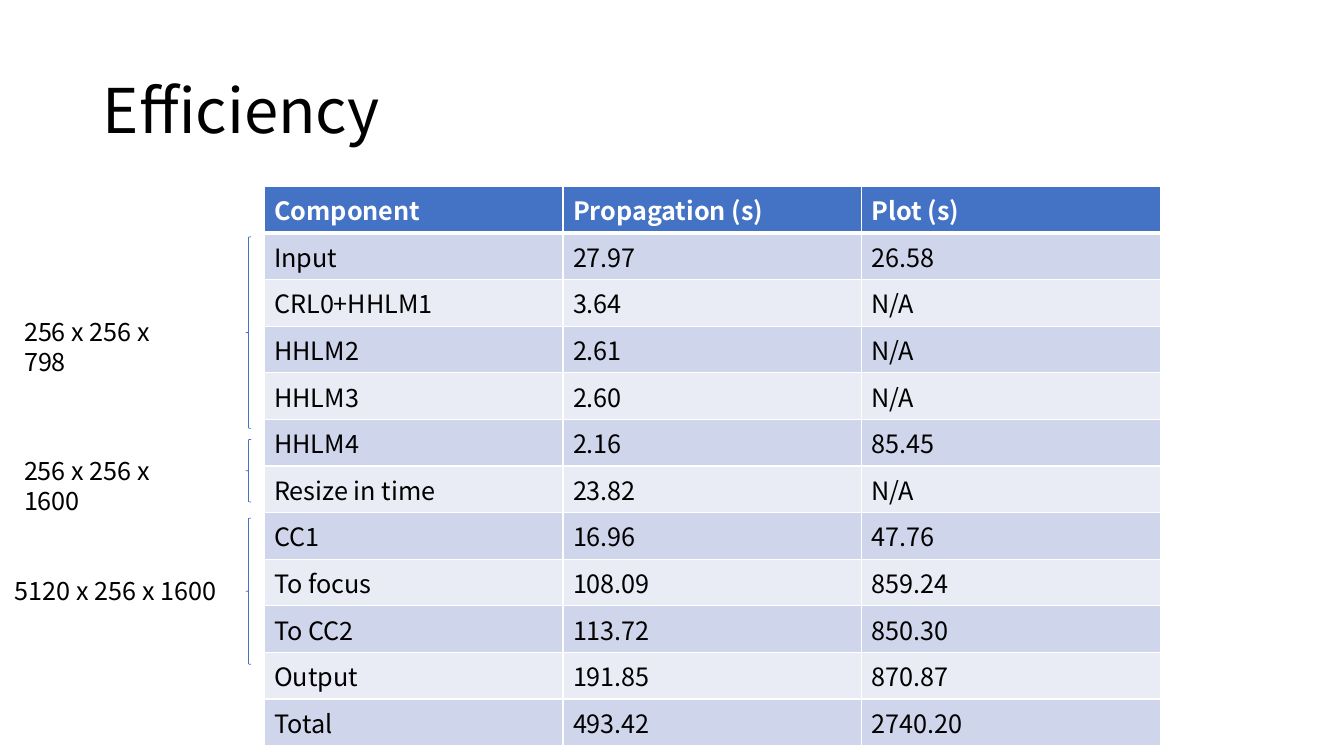
"""Build the Efficiency slide: a timing table with braces naming the grid sizes."""
import pptx
import pptx.dml.color
import pptx.enum.shapes
import pptx.enum.text
import pptx.oxml
import pptx.oxml.ns
import pptx.util
from pptx.util import Inches

FONT = "Noto Sans CJK SC"
BLACK, WHITE, BLUE = "000000", "FFFFFF", "4472C4"
BANDS = ("CFD5EA", "E9EBF5")

TITLE = "Efficiency"
TIMINGS = [
    ("Component", "Propagation (s)", "Plot (s)"),
    ("Input", "27.97", "26.58"),
    ("CRL0+HHLM1", "3.64", "N/A"),
    ("HHLM2", "2.61", "N/A"),
    ("HHLM3", "2.60", "N/A"),
    ("HHLM4", "2.16", "85.45"),
    ("Resize in time", "23.82", "N/A"),
    ("CC1", "16.96", "47.76"),
    ("To focus", "108.09", "859.24"),
    ("To CC2", "113.72", "850.30"),
    ("Output", "191.85", "870.87"),
    ("Total", "493.42", "2740.20"),
]
# brace top, brace height, label, label left, label top, label width
GRID_SIZES = [
    (2.35, 1.9, "256 x 256 x 798", 0.14, 3.09, 1.88),
    (4.36, 0.62, "256 x 256 x 1600", 0.14, 4.47, 2.03),
    (5.14, 1.45, "5120 x 256 x 1600", 0.05, 5.66, 2.23),
]


def color(value):
    return pptx.dml.color.RGBColor.from_string(value)


def format_text(paragraph, size, value=BLACK, bold=False):
    paragraph.font.name = FONT
    paragraph.font.size = pptx.util.Pt(size)
    paragraph.font.color.rgb = color(value)
    paragraph.font.bold = bold


def add_borders(cell, top, bottom):
    properties = cell._tc.get_or_add_tcPr()
    namespace = pptx.oxml.ns.nsdecls("a")
    widths = (("lnL", 1), ("lnR", 1), ("lnT", top), ("lnB", bottom))
    for index, (side, width) in enumerate(widths):
        border = pptx.oxml.parse_xml(
            f'<a:{side} {namespace} w="{pptx.util.Pt(width)}"><a:solidFill>'
            f'<a:srgbClr val="{WHITE}"/></a:solidFill></a:{side}>')
        properties.insert(index, border)


def add_title(slide):
    title = slide.shapes.title
    title.left, title.top = Inches(0.92), Inches(0.4)
    title.width, title.height = Inches(11.5), Inches(1.45)
    frame = title.text_frame
    frame.text = TITLE
    frame.auto_size = pptx.enum.text.MSO_AUTO_SIZE.NONE
    frame.vertical_anchor = pptx.enum.text.MSO_ANCHOR.MIDDLE
    paragraph = frame.paragraphs[0]
    paragraph.alignment = pptx.enum.text.PP_ALIGN.LEFT
    paragraph.line_spacing = 0.9
    format_text(paragraph, 44)


def add_timings(slide):
    table = slide.shapes.add_table(
        len(TIMINGS), len(TIMINGS[0]),
        Inches(2.62), Inches(1.85), Inches(8.89), Inches(4.87)).table
    for row, values in enumerate(TIMINGS):
        header = row == 0
        for column, value in enumerate(values):
            cell = table.cell(row, column)
            cell.text = value
            cell.fill.solid()
            cell.fill.fore_color.rgb = color(BLUE if header else BANDS[(row - 1) % 2])
            format_text(cell.text_frame.paragraphs[0], 18, WHITE if header else BLACK, header)
            add_borders(cell, 3 if row == 1 else 1, 3 if header else 1)


def add_grid_size(slide, brace_top, brace_height, label, left, top, width):
    brace = slide.shapes.add_shape(
        pptx.enum.shapes.MSO_SHAPE.LEFT_BRACE,
        Inches(2.44), Inches(brace_top), Inches(0.05), Inches(brace_height))
    brace.shadow.inherit = False
    brace.fill.background()
    brace.line.color.rgb = color(BLUE)
    brace.line.width = pptx.util.Pt(0.5)
    box = slide.shapes.add_textbox(Inches(left), Inches(top), Inches(width), Inches(0.4))
    frame = box.text_frame
    frame.word_wrap = True
    frame.auto_size = pptx.enum.text.MSO_AUTO_SIZE.SHAPE_TO_FIT_TEXT
    frame.text = label
    format_text(frame.paragraphs[0], 18)


def main():
    presentation = pptx.Presentation()
    presentation.slide_width, presentation.slide_height = Inches(13.33), Inches(7.5)
    slide = presentation.slides.add_slide(presentation.slide_layouts[5])
    add_title(slide)
    add_timings(slide)
    for grid_size in GRID_SIZES:
        add_grid_size(slide, *grid_size)
    presentation.save("out.pptx")


if __name__ == "__main__":
    main()
